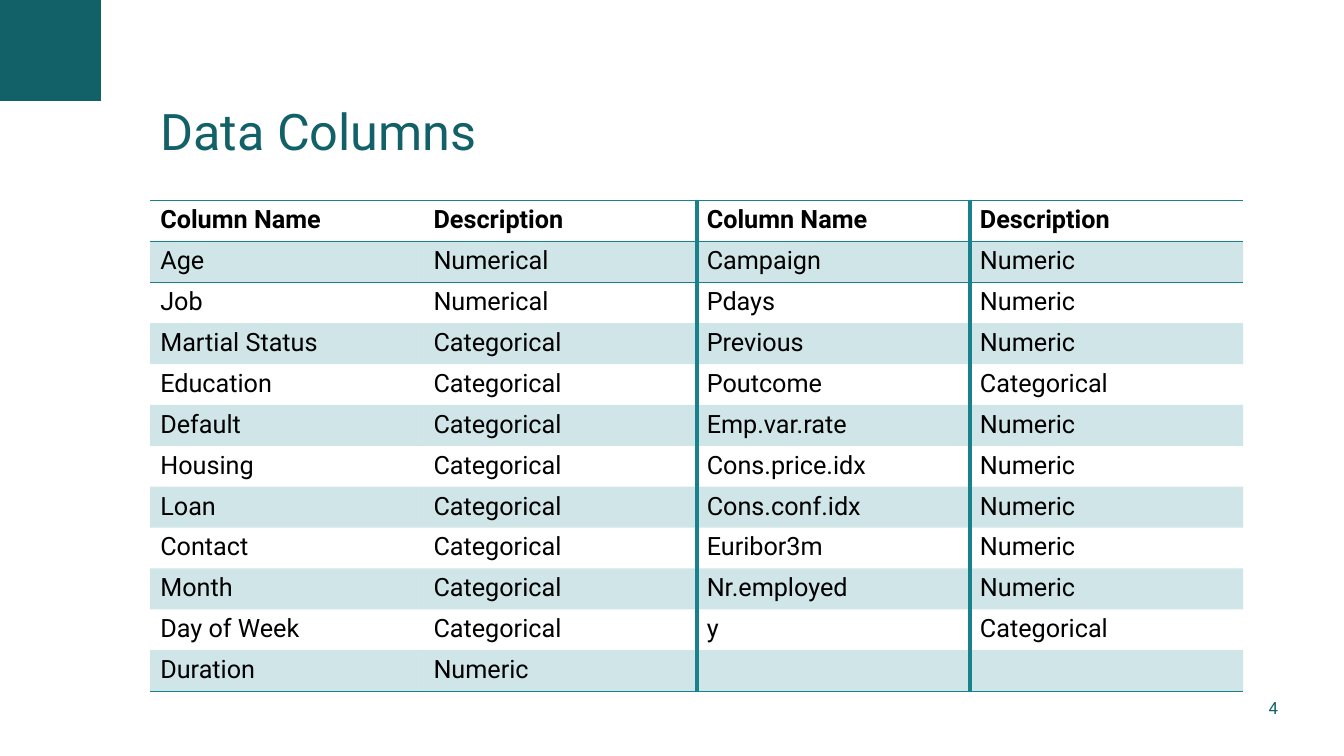
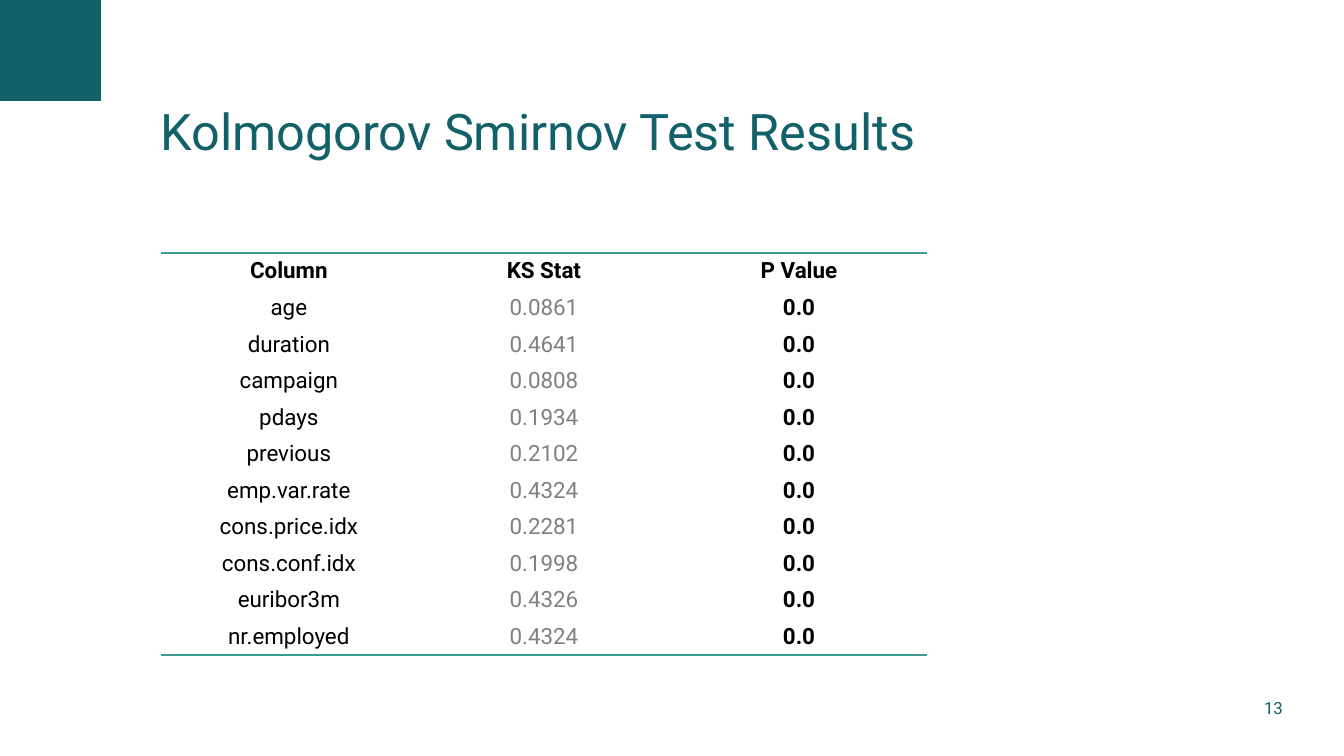
from math import cos, sin, pi
from lxml import etree
from pptx import Presentation
from pptx.dml.color import RGBColor
from pptx.enum.text import MSO_ANCHOR as ANCHOR, MSO_AUTO_SIZE as AUTO, PP_ALIGN as ALIGN
from pptx.oxml.ns import qn
from pptx.util import Inches, Pt

prs = Presentation()
prs.slide_width, prs.slide_height = Inches(13.33), Inches(7.5)
layout = prs.slide_layouts[5]
TEAL, BORDER, GREEN, BLACK, GREY = "126169", "18818C", "3C9A8F", "000000", "808080"
NO_STYLE = "{2D5ABB26-0587-4C30-8999-92F81FD0307C}"
MARGIN, RADIUS = 1.49, 2.5


def style(p, color, **fmt):
    p.font.name = "Roboto"
    p.font.color.rgb = RGBColor.from_string(color)
    for key, value in fmt.items():
        setattr(p.font, key, value)


def border(cell, sides):
    """Draw the given sides, {tag: (colour, points)}, in schema order."""
    tcPr = cell._tc.get_or_add_tcPr()
    tags = [tag for tag in ("lnL", "lnR", "lnT", "lnB") if tag in sides]
    for i, tag in enumerate(tags):
        color, width = sides[tag]
        ln = etree.Element(qn("a:" + tag), w=str(Pt(width)))
        fill = etree.SubElement(ln, qn("a:solidFill"))
        etree.SubElement(fill, qn("a:srgbClr"), val=color)
        tcPr.insert(i, ln)


columns_rows = [
    ("Column Name", "Description", "Column Name", "Description"),
    ("Age", "Numerical", "Campaign", "Numeric"),
    ("Job", "Numerical", "Pdays", "Numeric"),
    ("Martial Status", "Categorical", "Previous", "Numeric"),
    ("Education", "Categorical", "Poutcome", "Categorical"),
    ("Default", "Categorical", "Emp.var.rate", "Numeric"),
    ("Housing", "Categorical", "Cons.price.idx", "Numeric"),
    ("Loan", "Categorical", "Cons.conf.idx", "Numeric"),
    ("Contact", "Categorical", "Euribor3m", "Numeric"),
    ("Month", "Categorical", "Nr.employed", "Numeric"),
    ("Day of Week", "Categorical", "y", "Categorical"),
    ("Duration", "Numeric", "", ""),
]
ks_stats = [
    ("age", "0.0861"), ("duration", "0.4641"), ("campaign", "0.0808"),
    ("pdays", "0.1934"), ("previous", "0.2102"), ("emp.var.rate", "0.4324"),
    ("cons.price.idx", "0.2281"), ("cons.conf.idx", "0.1998"),
    ("euribor3m", "0.4326"), ("nr.employed", "0.4324"),
]
ks_rows = [("Column", "KS Stat", "P Value")] + [(*row, "0.0") for row in ks_stats]

# Per slide: table box, text format, rules and emphasis
slides = [
    dict(title="Data Columns", number="4", rows=columns_rows,
         box=(MARGIN, 1.99, 10.84, 4.87), size=18, line=BORDER,
         align=ALIGN.LEFT, anchor=ANCHOR.TOP, banded=True, header_rule=True,
         dividers=(2, 3), bold_cols=(), grey_cols=()),
    dict(title="Kolmogorov Smirnov Test Results", number="13", rows=ks_rows,
         box=(1.6, 2.51, 7.59, 3.99), size=16, line=GREEN,
         align=ALIGN.CENTER, anchor=ANCHOR.MIDDLE, banded=False, header_rule=False,
         dividers=(), bold_cols=(2,), grey_cols=(1,)),
]

for d in slides:
    s = prs.slides.add_slide(layout)

    # Corner: a square with a quarter circle cut away
    angles = [pi / 2 * i / 60 for i in range(61)]
    arc = [(RADIUS * (1 - sin(a)), RADIUS * (1 - cos(a))) for a in angles]
    fb = s.shapes.build_freeform(0, 0, scale=Inches(1))
    fb.add_line_segments(arc, close=True)
    sp = fb.convert_to_shape()
    sp.shadow.inherit = False
    sp.fill.solid()
    sp.fill.fore_color.rgb = RGBColor.from_string(TEAL)
    sp.line.fill.background()

    # Title
    sp = s.shapes.title
    sp.left, sp.top, sp.width, sp.height = map(Inches, (MARGIN, 0.38, 10.33, 1.91))
    tf = sp.text_frame
    tf.text = d["title"]
    tf.auto_size, tf.vertical_anchor = AUTO.NONE, ANCHOR.MIDDLE
    p = tf.paragraphs[0]
    p.alignment, p.line_spacing = ALIGN.LEFT, 0.9
    style(p, TEAL, size=Pt(36))

    # Table
    rows, (left, top, width, height) = d["rows"], d["box"]
    n_rows, n_cols = len(rows), len(rows[0])
    frame = s.shapes.add_table(n_rows, n_cols, *map(Inches, (left, top, width, height)))
    table = frame.table
    table.first_row = table.horz_banding = False
    next(frame.element.iter(qn("a:tableStyleId"))).text = NO_STYLE
    for column in table.columns:
        column.width = Inches(width / n_cols)
    for r, row in enumerate(rows):
        table.rows[r].height = Inches(height / n_rows)
        for c, text in enumerate(row):
            cell = table.cell(r, c)
            cell.text, cell.vertical_anchor = text, d["anchor"]
            p = cell.text_frame.paragraphs[0]
            p.alignment = d["align"]
            color = GREY if r and c in d["grey_cols"] else BLACK
            style(p, color, size=Pt(d["size"]), bold=r == 0 or c in d["bold_cols"])

            # Odd rows carry a tint
            if d["banded"] and r % 2:
                cell.fill.solid()
                cell.fill.fore_color.rgb = RGBColor.from_string(BORDER)
                rgb = next(cell._tc.tcPr.iter(qn("a:srgbClr")))
                etree.SubElement(rgb, qn("a:alpha"), val="20000")
            else:
                cell.fill.background()

            # Rules above, below the header, at the foot and between columns
            rules = {
                "lnL": (c in d["dividers"], 3),
                "lnR": (c + 1 in d["dividers"], 3),
                "lnT": (r == 0 or (r == 1 and d["header_rule"]), 1),
                "lnB": (r == n_rows - 1 or (r == 0 and d["header_rule"]), 1),
            }
            border(cell, {tag: (d["line"], w) for tag, (on, w) in rules.items() if on})

    # Slide number
    sp = s.shapes.add_textbox(*map(Inches, (11.92, 6.54, 1.42, 0.96)))
    tf = sp.text_frame
    tf.text, tf.word_wrap, tf.vertical_anchor = d["number"], True, ANCHOR.MIDDLE
    p = tf.paragraphs[0]
    p.alignment = ALIGN.CENTER
    style(p, TEAL, size=Pt(12))

prs.save("out.pptx")
